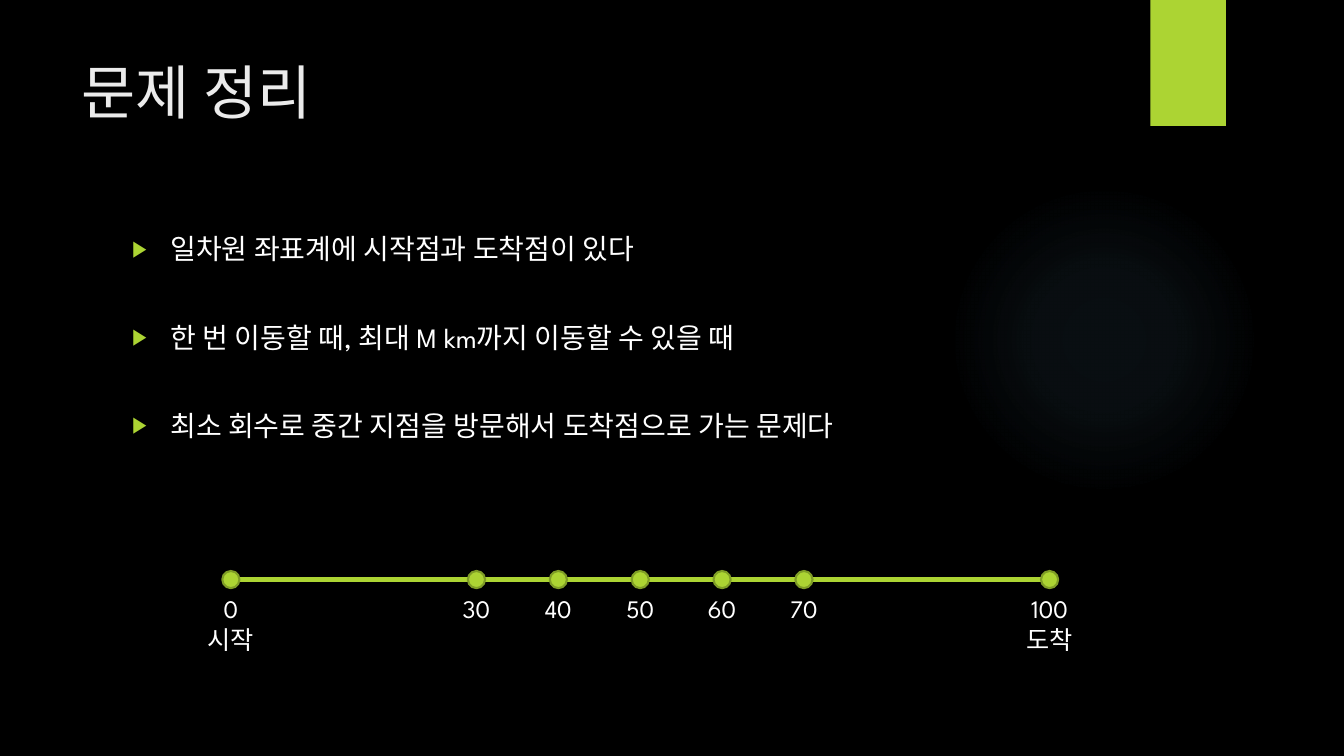
"""Build the slide that sums up the shortest-stops problem on a number line."""
from lxml import etree
from pptx import Presentation
from pptx.dml.color import RGBColor
from pptx.enum import shapes, text
from pptx.oxml import ns, parse_xml
from pptx.util import Inches, Pt

FONT = "League Spartan"
LIME, EDGE, WHITE = "ACD433", "7F9D26", "FFFFFF"


def paint(fill, shade):
    """Give a fill one solid colour."""
    fill.solid()
    fill.fore_color.rgb = RGBColor.from_string(shade)


def style(para, size, shade, align):
    """Set the font and alignment of a paragraph."""
    para.font.name = FONT
    para.font.size = Pt(size)
    paint(para.font.fill, shade)
    para.alignment = align


deck = Presentation()
deck.slide_width, deck.slide_height = Inches(13.33), Inches(7.5)
slide = deck.slides.add_slide(deck.slide_layouts[1])
paint(slide.background.fill, "000000")
LEFT, MID = text.PP_ALIGN.LEFT, text.PP_ALIGN.CENTER
OVAL = shapes.MSO_SHAPE.OVAL

glow = slide.shapes.add_shape(OVAL, Inches(9.41), Inches(1.83), Inches(3.08), Inches(3.08))
glow.shadow.inherit = False
glow.line.fill.background()
stops = "".join(
    f'<a:gs pos="{pos}000"><a:srgbClr val="7AC4F0"><a:alpha val="{alpha}000"/></a:srgbClr></a:gs>'
    for pos, alpha in [(0, 7), (36, 6), (69, 0)])
glow.element.spPr.find(ns.qn("a:prstGeom")).addnext(parse_xml(
    f'<a:gradFill {ns.nsdecls("a")}><a:gsLst>{stops}</a:gsLst><a:path path="circle">'
    '<a:fillToRect l="50000" t="50000" r="50000" b="50000"/></a:path></a:gradFill>'))

tab = slide.shapes.add_shape(
    shapes.MSO_SHAPE.RECTANGLE, Inches(11.41), 0, Inches(0.75), Inches(1.25))
tab.shadow.inherit = False
tab.line.fill.background()
paint(tab.fill, LIME)

title, body = slide.placeholders
for holder, box in [(title, (0.71, 0.5, 10.29, 1.53)), (body, (1.21, 2.25, 9.78, 4.59))]:
    holder.left, holder.top, holder.width, holder.height = map(Inches, box)
    holder.text_frame.vertical_anchor = text.MSO_ANCHOR.TOP
    holder.text_frame.auto_size = text.MSO_AUTO_SIZE.NONE

title.text_frame.text = "문제 정리"
style(title.text_frame.paragraphs[0], 42, "EBEBEB", LEFT)

body.text_frame.text = "\n".join([
    "일차원 좌표계에 시작점과 도착점이 있다",
    "한 번 이동할 때, 최대 M km까지 이동할 수 있을 때",
    "최소 회수로 중간 지점을 방문해서 도착점으로 가는 문제다",
])
for para in body.text_frame.paragraphs:
    style(para, 20, WHITE, LEFT)
    para.space_before, para.space_after = Pt(0), Pt(39)
    props = para._p.get_or_add_pPr()
    props.set("marL", str(Inches(0.38)))
    props.set("indent", str(Inches(-0.38)))
    tint = etree.SubElement(props, ns.qn("a:buClr"))
    etree.SubElement(tint, ns.qn("a:srgbClr"), val=LIME)
    etree.SubElement(props, ns.qn("a:buSzPct"), val="80000")
    etree.SubElement(props, ns.qn("a:buFont"), typeface="Arial")
    etree.SubElement(props, ns.qn("a:buChar"), char="▶")
    props.append(props.find(ns.qn("a:defRPr")))

START, END, LEVEL, DOT = 2.29, 10.41, 5.75, 0.17
axis = slide.shapes.add_group_shape().shapes
track = axis.add_connector(
    shapes.MSO_CONNECTOR.STRAIGHT, Inches(START), Inches(LEVEL), Inches(END), Inches(LEVEL))
paint(track.line.fill, LIME)
track.line.width = Pt(3)
etree.SubElement(track.element.spPr, ns.qn("a:effectLst"))

names = {0: "시작", 100: "도착"}
for place in [0, 30, 40, 50, 60, 70, 100]:
    x = START + (END - START) * place / 100
    dot = axis.add_shape(
        OVAL, Inches(x - DOT / 2), Inches(LEVEL - DOT / 2), Inches(DOT), Inches(DOT))
    dot.shadow.inherit = False
    paint(dot.fill, LIME)
    paint(dot.line.fill, EDGE)
    dot.line.width = Pt(1.5)

    wide, high = (0.71, 0.71) if place in names else (0.48, 0.4)
    label = axis.add_textbox(
        Inches(x - wide / 2), Inches(5.84), Inches(wide), Inches(high)).text_frame
    label.word_wrap = False
    label.text = f"{place}\n{names[place]}" if place in names else str(place)
    for para in label.paragraphs:
        style(para, 18, WHITE, MID)

deck.save("out.pptx")
